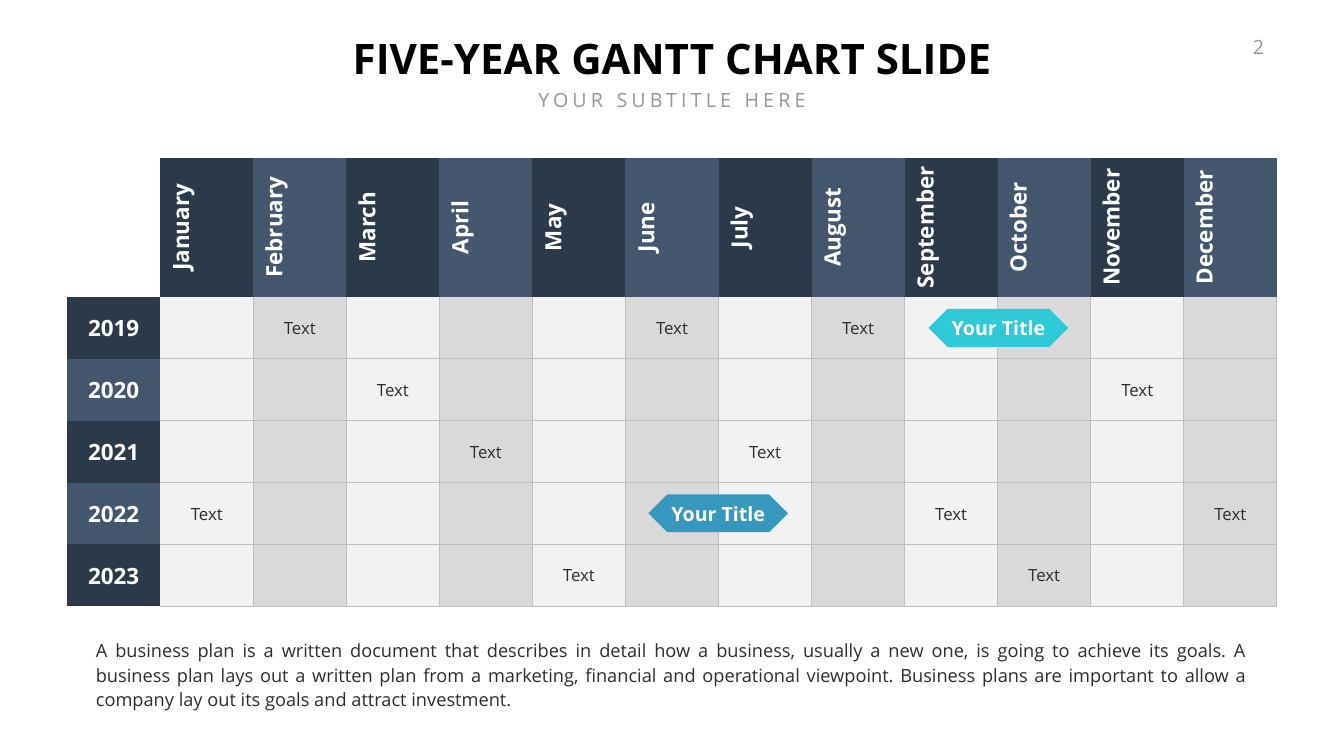
"""Build a five-year Gantt chart slide."""
from lxml import etree
from pptx import Presentation, util as u
from pptx.dml.color import RGBColor
from pptx.enum import shapes, text
from pptx.oxml.ns import qn

HUES = {
    "black": "000000", "grey": "969696", "ink": "2D2D2D", "white": "FFFFFF",
    "navy": "2C3948", "slate": "43566C", "pale": "F2F2F2", "mist": "D9D9D9",
    "rule": "BFBFBF", "aqua": "2ECAD7", "blue": "3698BF",
}
FORMS = {
    "title": {"size": 60, "bold": True, "hue": "black"},
    "sub": {"size": 28, "hue": "grey", "gap": 6},
    "page": {"size": 28, "hue": "grey", "gap": 3, "align": "RIGHT"},
    "head": {"size": 32, "bold": True, "hue": "white"},
    "cell": {"size": 24, "hue": "ink"},
    "label": {"size": 28, "bold": True, "hue": "white"},
    "body": {"size": 26, "hue": "ink", "align": "JUSTIFY", "lead": 35, "before": 5.2},
}
MONTHS = ["January", "February", "March", "April", "May", "June", "July",
          "August", "September", "October", "November", "December"]
PLAN = {"2019": [2, 6, 8], "2020": [3, 11], "2021": [4, 7],
        "2022": [1, 9, 12], "2023": [5, 10]}
BODY = (
    "A business plan is a written document that describes in detail how a business, "
    "usually a new one, is going to achieve its goals. A business plan lays out a "
    "written plan from a marketing, financial and operational viewpoint. Business "
    "plans are important to allow a company lay out its goals and attract investment."
)


class Board:
    """Hold the style and the slide; places are percentages of the slide size."""

    font = "Open Sans"

    def __init__(self, deck):
        """Add a title-only slide to the deck."""
        self.wide, self.high = deck.slide_width, deck.slide_height
        self.slide = deck.slides.add_slide(deck.slide_layouts[5])

    def place(self, left, top, width, height):
        """Turn percentages into lengths."""
        sides = (self.wide, self.high) * 2
        return [round(n * side / 100) for n, side in zip((left, top, width, height), sides)]

    def color(self, hue):
        """Look up a named colour."""
        return RGBColor.from_string(HUES[hue])

    def paint(self, fill, hue):
        """Fill with one solid colour."""
        fill.solid()
        fill.fore_color.rgb = self.color(hue)

    def letter(self, frame, words, kind):
        """Put in one formatted paragraph."""
        form = FORMS[kind]
        para = frame.paragraphs[0]
        para.alignment = getattr(text.PP_ALIGN, form.get("align", "CENTER"))
        if "lead" in form:
            para.line_spacing = u.Pt(form["lead"])
            para.space_before = u.Pt(form["before"])
        run = para.add_run()
        run.text = words
        look = {"name": self.font, "size": u.Pt(form["size"]), "bold": form.get("bold", False)}
        for key, value in look.items():
            setattr(run.font, key, value)
        run.font.color.rgb = self.color(form["hue"])
        if "gap" in form:
            run.font._element.set("spc", str(form["gap"] * 100))

    def fit(self, frame, words, kind, pad=(0, 0), anchor="TOP"):
        """Set up a text frame and letter it."""
        across, down = (u.Inches(n) for n in pad)
        look = {"word_wrap": True, "auto_size": text.MSO_AUTO_SIZE.NONE,
                "vertical_anchor": getattr(text.MSO_ANCHOR, anchor),
                "margin_left": across, "margin_right": across,
                "margin_top": down, "margin_bottom": down}
        for key, value in look.items():
            setattr(frame, key, value)
        self.letter(frame, words, kind)

    def title(self, words, *spot):
        """Move and format the title placeholder."""
        head = self.slide.shapes.title
        for key, value in zip(("left", "top", "width", "height"), self.place(*spot)):
            setattr(head, key, value)
        self.fit(head.text_frame, words, "title")

    def note(self, words, kind, *spot, **extra):
        """Add a text box."""
        box = self.slide.shapes.add_textbox(*self.place(*spot))
        self.fit(box.text_frame, words, kind, **extra)

    def tag(self, hue, *spot):
        """Add a pointed bar."""
        bar = self.slide.shapes.add_shape(
            shapes.MSO_SHAPE.SNIP_2_DIAG_RECTANGLE, *self.place(*spot))
        bar.adjustments[0] = bar.adjustments[1] = 0.5
        bar.shadow.inherit = False
        bar.line.fill.background()
        self.paint(bar.fill, hue)

    def edge(self, cell, lines):
        """Draw the named cell borders and clear the others."""
        props = cell._tc.get_or_add_tcPr()
        for side in "LRTB":
            hue, points = lines.get(side, (None, 0))
            line = etree.SubElement(props, qn(f"a:ln{side}"), w=str(u.Pt(points)))
            if hue:
                solid = etree.SubElement(line, qn("a:solidFill"))
                etree.SubElement(solid, qn("a:srgbClr"), val=HUES[hue])
            else:
                etree.SubElement(line, qn("a:noFill"))

    def cell(self, cell, words, kind, hue, lines, pad=0.05):
        """Format one table cell."""
        self.edge(cell, lines)
        if hue:
            self.paint(cell.fill, hue)
        else:
            cell.fill.background()
        cell.vertical_anchor = text.MSO_ANCHOR.MIDDLE
        for side in ("left", "right", "top", "bottom"):
            setattr(cell, f"margin_{side}", u.Inches(pad))
        if words:
            self.letter(cell.text_frame, words, kind)

    def chart(self, left, top, width, head, row):
        """Add the table of months and years."""
        rows, cols = len(PLAN) + 1, len(MONTHS) + 1
        spot = self.place(left, top, width, head + row * len(PLAN))
        grid = self.slide.shapes.add_table(rows, cols, *spot).table
        grid.first_row = grid.horz_banding = False
        for col in grid.columns:
            col.width = round(spot[2] / cols)
        for i, band in enumerate(grid.rows):
            band.height = round(self.high * (row if i else head) / 100)
        self.cell(grid.cell(0, 0), "", "head", None,
                  {"L": ("white", 0.25), "T": ("white", 0.25)})
        for j, month in enumerate(MONTHS, 1):
            top_cell = grid.cell(0, j)
            self.cell(top_cell, month, "head", "navy" if j % 2 else "slate", {}, 0.1)
            top_cell._tc.get_or_add_tcPr().set("vert", "vert270")
        for i, (year, marks) in enumerate(PLAN.items(), 1):
            self.cell(grid.cell(i, 0), year, "head", "navy" if i % 2 else "slate", {})
            for j in range(1, cols):
                sides = "RB" + "L" * (j > 1) + "T" * (i > 1)
                self.cell(grid.cell(i, j), "Text" if j in marks else "", "cell",
                          "pale" if j % 2 else "mist",
                          {side: ("rule", 1) for side in sides})


def main():
    """Build and save the slide."""
    deck = Presentation()
    deck.slide_width, deck.slide_height = u.Inches(26.66), u.Inches(15)
    board = Board(deck)
    board.note("2", "page", 91.26, 4.67, 2.8, 3.8)
    board.title("FIVE-YEAR GANTT CHART SLIDE", 25.73, 4.27, 48.57, 7.4)
    board.note("YOUR SUBTITLE HERE", "sub", 39.42, 11.67, 21.16, 3.8)
    board.chart(5, 20.87, 90, 18.4, 8.19)
    tags = [("aqua", 69.09, 40.87), ("blue", 48.24, 65.4)]
    for hue, left, top in tags:
        board.tag(hue, left, top, 10.39, 5)
    for _, left, top in tags:
        board.note("Your Title", "label", left + 1.3, top + 0.6, 7.8, 3.8, anchor="MIDDLE")
    board.note(BODY, "body", 6.23, 83.47, 87.51, 11.2, pad=(0.24, 0.12))
    deck.save("out.pptx")


if __name__ == "__main__":
    main()
